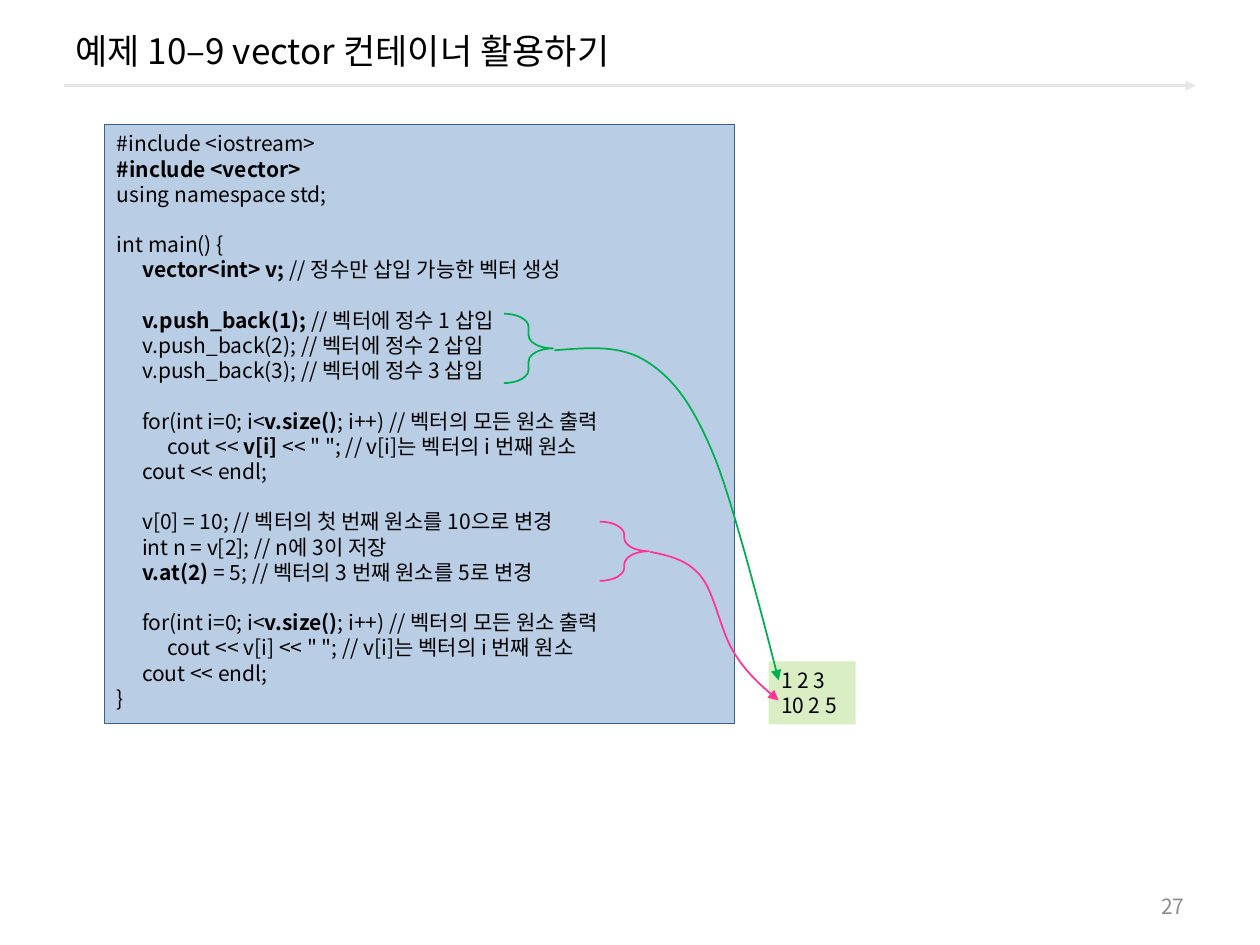
from dataclasses import dataclass

from lxml import etree
from pptx import Presentation
from pptx.dml.color import RGBColor
from pptx.enum.shapes import MSO_CONNECTOR, MSO_SHAPE
from pptx.enum.text import MSO_ANCHOR, PP_ALIGN
from pptx.oxml.ns import qn
from pptx.util import Inches, Pt

RECT, BRACE = MSO_SHAPE.RECTANGLE, MSO_SHAPE.RIGHT_BRACE
STRAIGHT = MSO_CONNECTOR.STRAIGHT
LEFT, RIGHT = PP_ALIGN.LEFT, PP_ALIGN.RIGHT
TOP, MIDDLE = MSO_ANCHOR.TOP, MSO_ANCHOR.MIDDLE

SLIDE_W, SLIDE_H = Inches(10), Inches(7.5)
UNIT = SLIDE_W / 100  # the grid has 100 columns and 75 rows
CURVE_STEPS = 16


@dataclass(frozen=True)
class Theme:
    font: str = "Noto Sans CJK KR"
    text: str = "000000"
    muted: str = "8C8C8C"
    rule: str = "E6E6E6"
    code_fill: str = "B9CDE5"
    code_line: str = "376092"
    output_fill: str = "DAEEC4"
    green: str = "00B050"
    pink: str = "FF3399"
    title_size: float = 20
    body_size: float = 12
    leading: float = 14.4


THEME = Theme()

# Text between bars is bold.
CODE = """#include <iostream>
|#include <vector>|
using namespace std;

int main() {
\t|vector<int> v; |// 정수만 삽입 가능한 벡터 생성

\t|v.push_back(1); |// 벡터에 정수 1 삽입
\tv.push_back(2); // 벡터에 정수 2 삽입
\tv.push_back(3); // 벡터에 정수 3 삽입

\tfor(int i=0; i<|v.size()|; i++) // 벡터의 모든 원소 출력
\t\tcout << |v[i] |<< " "; // v[i]는 벡터의 i 번째 원소
\tcout << endl;

\tv[0] = 10; // 벡터의 첫 번째 원소를 10으로 변경
\tint n = v[2]; // n에 3이 저장
\t|v.at(2)| = 5; // 벡터의 3 번째 원소를 5로 변경

\tfor(int i=0; i<|v.size()|; i++) // 벡터의 모든 원소 출력
\t\tcout << v[i] << " "; // v[i]는 벡터의 i 번째 원소
\tcout << endl;
}"""


def grid(*values):
    return [round(v * UNIT) for v in values]


def rgb(color):
    return RGBColor.from_string(color)


def style_run(r, size, color=THEME.text, bold=False):
    r.font.name, r.font.size, r.font.bold = THEME.font, Pt(size), bold
    r.font.color.rgb = rgb(color)
    etree.SubElement(r.font._element, qn("a:ea"), typeface=THEME.font)


def style_line(sp, color, width, arrow=False):
    sp.line.color.rgb, sp.line.width = rgb(color), Pt(width)
    if arrow:
        etree.SubElement(sp.line._get_or_add_ln(), qn("a:tailEnd"), type="triangle")


def add_tab_stops(p):
    tabs = etree.SubElement(p._p.get_or_add_pPr(), qn("a:tabLst"))
    for column in (2, 4):
        etree.SubElement(tabs, qn("a:tab"), pos=str(grid(column)[0]), algn="l")


def add_panel(slide, box, text, fill, line=None):
    sp = slide.shapes.add_shape(RECT, *grid(*box))
    sp.shadow.inherit = False
    sp.fill.solid()
    sp.fill.fore_color.rgb = rgb(fill)
    if line:
        style_line(sp, line, 0.75)
    else:
        sp.line.fill.background()
    tf = sp.text_frame
    tf.word_wrap, tf.vertical_anchor = True, TOP
    for i, row in enumerate(text.split("\n")):
        p = tf.add_paragraph() if i else tf.paragraphs[0]
        p.alignment, p.line_spacing = LEFT, Pt(THEME.leading)
        add_tab_stops(p)
        p.font.size = Pt(THEME.body_size)
        for k, part in enumerate(row.split("|")):
            if part:
                r = p.add_run()
                r.text = part
                style_run(r, THEME.body_size, bold=k % 2 == 1)


def add_header(slide, box, title):
    sp = slide.shapes.title
    sp.left, sp.top, sp.width, sp.height = grid(*box)
    tf = sp.text_frame
    tf.text, tf.vertical_anchor = title, MIDDLE
    p = tf.paragraphs[0]
    p.alignment = LEFT
    style_run(p.runs[0], THEME.title_size)
    left, top, width, height = box
    y = top + height - 0.4
    rule = slide.shapes.add_connector(STRAIGHT, *grid(left + 0.1, y, left + width - 0.1, y))
    style_line(rule, THEME.rule, 1.5, arrow=True)
    etree.SubElement(rule._element.spPr, qn("a:effectLst"))


def add_page_number(slide, box, number):
    tf = slide.shapes.add_textbox(*grid(*box)).text_frame
    tf.word_wrap, tf.vertical_anchor = True, MIDDLE
    p = tf.paragraphs[0]
    p.text, p.alignment = str(number), RIGHT
    style_run(p.runs[0], THEME.body_size, THEME.muted)


def bezier_points(points):
    """Points along joined cubic curves; each curve starts where the last ended."""
    for k in range(0, len(points) - 1, 3):
        for step in range(1, CURVE_STEPS + 1):
            t = step / CURVE_STEPS
            weights = ((1 - t) ** 3, 3 * t * (1 - t) ** 2, 3 * t * t * (1 - t), t ** 3)
            yield tuple(round(sum(w * pt[axis] for w, pt in zip(weights, points[k:k + 4])))
                        for axis in (0, 1))


def add_callout(slide, box, curve, color):
    """A brace around some code lines, with a curved arrow to their output."""
    brace = slide.shapes.add_shape(BRACE, *grid(*box))
    brace.adjustments[0] = 0.267
    points = [grid(*pt) for pt in curve]
    builder = slide.shapes.build_freeform(*points[0])
    builder.add_line_segments(list(bezier_points(points)), close=False)
    arrow = builder.convert_to_shape()
    for sp in (brace, arrow):
        sp.shadow.inherit = False
        sp.fill.background()
        style_line(sp, color, 1, arrow=sp is arrow)


def main():
    prs = Presentation()
    prs.slide_width, prs.slide_height = SLIDE_W, SLIDE_H
    slide = prs.slides.add_slide(prs.slide_layouts[5])
    add_header(slide, (5, 0.8, 90, 6.4), "예제 10–9 vector 컨테이너 활용하기")
    add_page_number(slide, (71.7, 70.3, 23.3, 3.2), 27)
    add_panel(slide, (8.3, 9.9, 50, 47.5), CODE, THEME.code_fill, THEME.code_line)
    add_panel(slide, (61, 52.5, 6.9, 5), "1 2 3\n10 2 5", THEME.output_fill)
    add_callout(slide, (40, 24.9, 3.9, 5.5),
                [(44, 27.8), (46.7, 27.6), (49.3, 27.3), (51.5, 28.8), (53.6, 30.2),
                 (55.1, 32.3), (56.8, 36.5), (58.5, 40.8), (61.8, 54), (61.8, 54)],
                THEME.green)
    add_callout(slide, (47.6, 41.4, 3.9, 4.7),
                [(51.6, 43.8), (53.1, 44.1), (54.5, 44.4), (55.6, 45.7), (56.7, 47),
                 (57.2, 50.1), (58.2, 51.7), (59.2, 53.4), (60.5, 54.5), (61.8, 55.6)],
                THEME.pink)
    prs.save("out.pptx")


if __name__ == "__main__":
    main()
